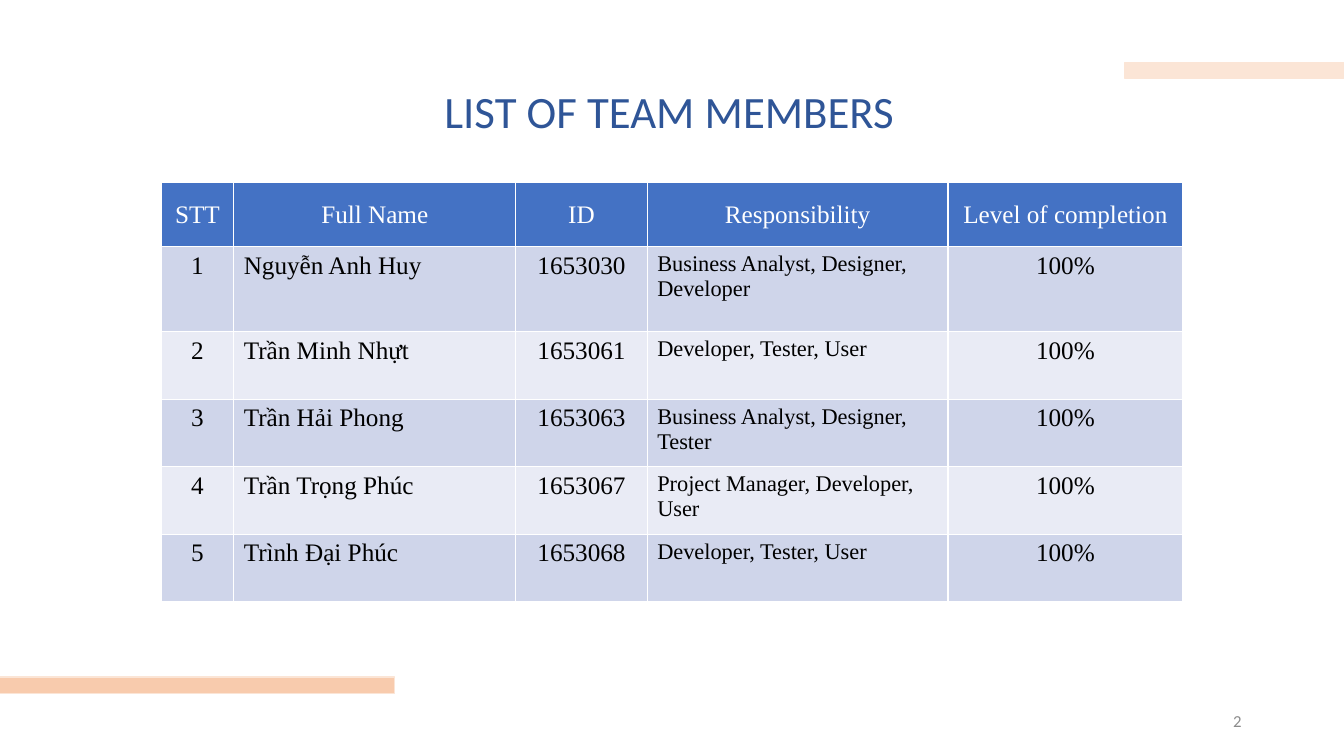
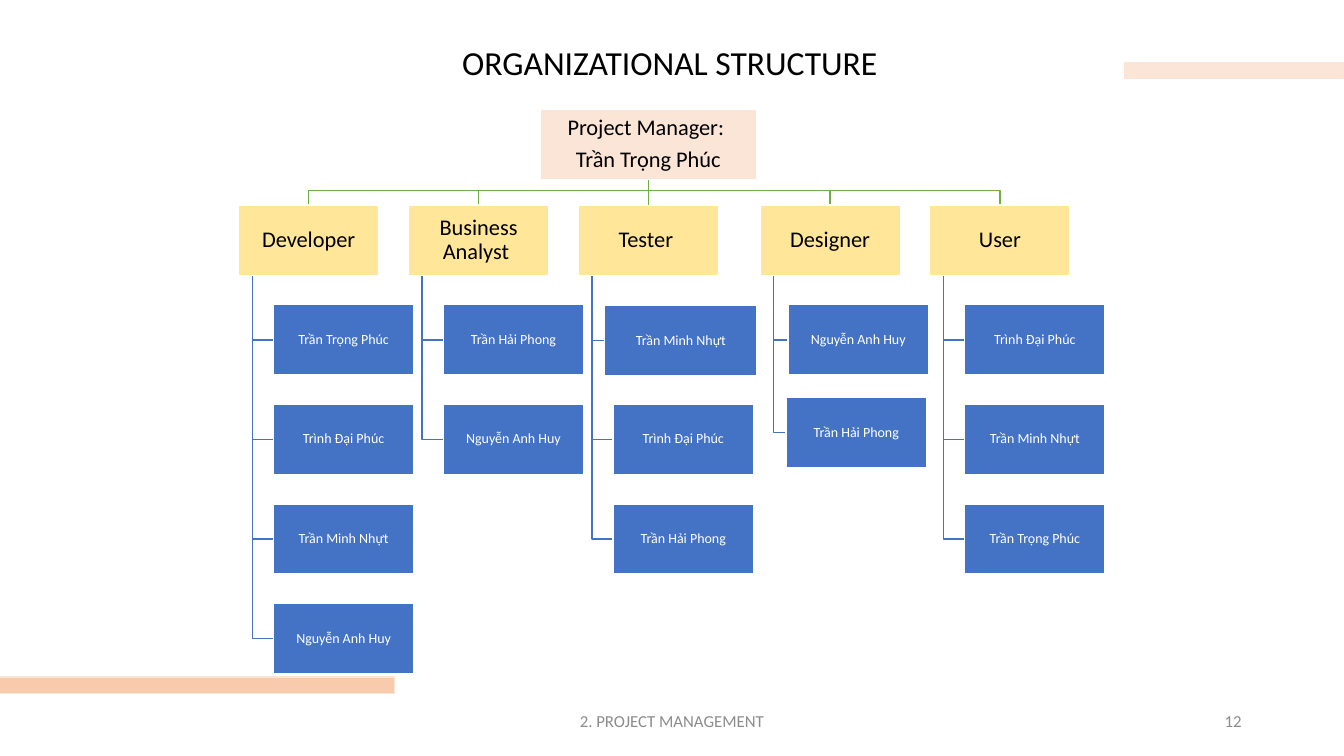
"""Build the team list and the organizational structure slides."""
from dataclasses import dataclass

from lxml import etree
from pptx import Presentation
from pptx import util as u
from pptx.dml.color import RGBColor
from pptx.enum import shapes, text
from pptx.oxml import ns

MID, TOP = text.MSO_ANCHOR.MIDDLE, text.MSO_ANCHOR.TOP
LEFT, CEN, RIGHT = text.PP_ALIGN.LEFT, text.PP_ALIGN.CENTER, text.PP_ALIGN.RIGHT


@dataclass(frozen=True)
class Theme:
    """Colours, fonts and type sizes of the deck."""
    blue: str = "4472C4"
    navy: str = "2F5597"
    green: str = "70AD47"
    gold: str = "FFE699"
    peach: str = "F8CBAD"
    pale: str = "FBE5D6"
    odd: str = "CFD5EA"
    even: str = "E9EBF5"
    gray: str = "8C8C8C"
    white: str = "FFFFFF"
    black: str = "000000"
    sans: str = "Calibri"
    serif: str = "Times New Roman"
    big: int = 32
    head: int = 24
    cell: int = 18
    role: int = 16
    foot: int = 12
    name: int = 10


T = Theme()

COLS = [1.83, 7.11, 3.31, 7.58, 5.92]
ROWS = [1.63, 2.14, 1.7, 1.7, 1.7, 1.7]
TEAM = [
    ("STT", "Full Name", "ID", "Responsibility", "Level of completion"),
    ("1", "Nguyễn Anh Huy", "1653030", "Business Analyst, Designer, Developer", "100%"),
    ("2", "Trần Minh Nhựt", "1653061", "Developer, Tester, User", "100%"),
    ("3", "Trần Hải Phong", "1653063", "Business Analyst, Designer, Tester", "100%"),
    ("4", "Trần Trọng Phúc", "1653067", "Project Manager, Developer, User", "100%"),
    ("5", "Trình Đại Phúc", "1653068", "Developer, Tester, User", "100%"),
]
ROLES = [
    ("Developer", ["Trần Trọng Phúc", "Trình Đại Phúc", "Trần Minh Nhựt", "Nguyễn Anh Huy"]),
    ("Business Analyst ", ["Trần Hải Phong", "Nguyễn Anh Huy"]),
    ("Tester ", ["Trần Minh Nhựt", "Trình Đại Phúc", "Trần Hải Phong"]),
    ("Designer", ["Nguyễn Anh Huy", "Trần Hải Phong"]),
    ("User", ["Trình Đại Phúc", "Trần Minh Nhựt", "Trần Trọng Phúc"]),
]
NUDGE = {(2, 0): (-0.21, 0.02, 0.3), (3, 0): (-0.17, 0, 0), (3, 1): (-0.22, -0.17, 0)}


def put(obj, vals):
    """Set each attribute named in a dict."""
    for key, val in vals.items():
        setattr(obj, key, val)


def cms(*nums):
    """Turn numbers into centimetre lengths."""
    return [u.Cm(num) for num in nums]


def fill(frame, words, size, hue, font=T.sans, align=CEN, space=None, after=0):
    """Write lines of text into a frame in one style."""
    lines = words.split("\n")
    for num, line in enumerate(lines):
        par = frame.paragraphs[0] if num == 0 else frame.add_paragraph()
        run = par.add_run()
        run.text = line
        put(par, {"alignment": align, "line_spacing": space})
        if num < len(lines) - 1:
            par.space_after = u.Pt(after)
        put(run.font, {"name": font, "size": u.Pt(size), "bold": False})
        run.font.color.rgb = RGBColor.from_string(hue)


def ink(shp, hue):
    """Give a shape or connector a thin line."""
    shp.line.color.rgb = RGBColor.from_string(hue)
    shp.line.width = u.Pt(1)


def rect(sl, box, hue, edge):
    """Draw a flat rectangle with a thin edge."""
    shp = sl.shapes.add_shape(shapes.MSO_SHAPE.RECTANGLE, *cms(*box))
    shp.shadow.inherit = False
    shp.fill.solid()
    shp.fill.fore_color.rgb = RGBColor.from_string(hue)
    ink(shp, edge)
    return shp


def label(sl, box, words, size, hue, align=LEFT, anchor=TOP, wrap=True):
    """Place a plain text box."""
    frame = sl.shapes.add_textbox(*cms(*box)).text_frame
    put(frame, {"word_wrap": wrap, "vertical_anchor": anchor})
    fill(frame, words, size, hue, align=align)


def card(sl, box, words, size, hue, tone):
    """Draw one box of the structure."""
    shp = rect(sl, box, hue, T.white)
    edge = u.Cm(0.03)
    sides = ("margin_left", "margin_right", "margin_top", "margin_bottom")
    put(shp.text_frame, dict.fromkeys(sides, edge))
    put(shp.text_frame, {"word_wrap": True, "vertical_anchor": MID})
    fill(shp.text_frame, words, size, tone, space=0.9, after=5.6)
    return shp


def bend(sl, dots, hue):
    """Draw an open line with square corners through points."""
    first, *rest = [tuple(cms(*dot)) for dot in dots]
    pen = sl.shapes.build_freeform(*first)
    pen.add_line_segments(rest, close=False)
    shp = pen.convert_to_shape()
    shp.shadow.inherit = False
    shp.fill.background()
    ink(shp, hue)


def wire(sl, top, low, hue):
    """Join the bottom of one box to the top of another."""
    con = sl.shapes.add_connector(shapes.MSO_CONNECTOR.STRAIGHT, 0, 0, 0, 0)
    ink(con, hue)
    etree.SubElement(con._element.spPr, ns.qn("a:effectLst"))
    con.begin_connect(top, 2)
    con.end_connect(low, 0)


def rule(cell):
    """Give a cell white borders on all sides."""
    props = cell._tc.get_or_add_tcPr()
    for side in "LRTB":
        line = etree.SubElement(props, ns.qn("a:ln" + side), w=str(u.Pt(1)))
        paint = etree.SubElement(line, ns.qn("a:solidFill"))
        etree.SubElement(paint, ns.qn("a:srgbClr"), val=T.white)


def grid(sl, box):
    """Place the table of team members in a box."""
    tab = sl.shapes.add_table(len(TEAM), len(COLS), *cms(*box)).table
    tab.horz_banding = False
    for col, wide in zip(tab.columns, COLS):
        col.width = u.Cm(wide)
    for r, (row, tall) in enumerate(zip(TEAM, ROWS)):
        tab.rows[r].height = u.Cm(tall)
        for c, words in enumerate(row):
            cell = tab.cell(r, c)
            rule(cell)
            hue = T.blue if r == 0 else T.odd if r % 2 else T.even
            cell.fill.solid()
            cell.fill.fore_color.rgb = RGBColor.from_string(hue)
            fill(cell.text_frame, words,
                 T.role if r and c == 3 else T.cell,
                 T.white if r == 0 else T.black, T.serif,
                 LEFT if r and c in (1, 3) else CEN,
                 1.5 if r == 0 else None)


def branch(sl, box, spot, words, names):
    """Draw a role with its members hanging below; return the role."""
    x, y, wide, tall = box
    stem, low = x + 0.35, y + tall
    for num, name in enumerate(names):
        dx, dy, more = NUDGE.get((spot, num), (0, 0, 0))
        left, top = x + 0.88 + dx, y + 2.51 * (num + 1) + dy
        mid = top + tall / 2
        bend(sl, [(stem, low), (stem, mid), (left, mid)], T.blue)
        card(sl, (left, top, wide + more, tall), name, T.name, T.blue, T.white)
    return card(sl, box, words, T.role, T.gold, T.black)


def tree(sl, box):
    """Place the organizational structure in a box."""
    x, y, wide, tall = box[0], box[1], 3.54, 1.77
    lefts = [x + 4.28 * num + (0.3 if num > 2 else 0) for num in range(len(ROLES))]
    mids = [left + wide / 2 for left in lefts]
    hub, bus, row, span = mids[2], y + 2.04, y + 2.41, 5.44
    for mid in mids:
        if mid != hub:
            bend(sl, [(hub, y + tall), (hub, bus), (mid, bus), (mid, row)], T.green)
    boss = card(sl, (hub - span / 2, y, span, tall),
                "Project Manager: \nTrần Trọng Phúc", T.role, T.pale, T.black)
    roles = [branch(sl, (left, row, wide, tall), spot, *ROLES[spot])
             for spot, left in enumerate(lefts)]
    wire(sl, boss, roles[2], T.green)


def base(deck, page, foot=None):
    """Add a blank slide with its bands, footer and page number."""
    sl = deck.slides.add_slide(deck.slide_layouts[6])
    rect(sl, (-0.03, 17.06, 9.97, 0.41), T.peach, T.pale)
    rect(sl, (28.35, 1.57, 5.51, 0.41), T.pale, T.pale)
    if foot:
        label(sl, (11.22, 17.66, 11.43, 1.01), foot, T.foot, T.gray, CEN, MID)
    label(sl, (23.92, 17.66, 7.62, 1.01), page, T.foot, T.gray, RIGHT, MID)
    return sl


def team(deck):
    """Build the slide of team members."""
    sl = base(deck, "2")
    grid(sl, (4.06, 4.59, sum(COLS), sum(ROWS)))
    label(sl, (10.95, 1.98, 11.96, 1.62), "LIST OF TEAM MEMBERS",
          T.big, T.navy, wrap=False)


def chart(deck):
    """Build the slide of the organizational structure."""
    sl = base(deck, "12", "2. PROJECT MANAGEMENT")
    tree(sl, (6.01, 2.76, 22, 14.22))
    label(sl, (11.4, 0.93, 11.07, 1.28), "ORGANIZATIONAL STRUCTURE",
          T.head, T.black, wrap=False)


def main():
    """Build and save the deck."""
    deck = Presentation()
    put(deck, {"slide_width": u.Cm(33.87), "slide_height": u.Cm(19.05)})
    team(deck)
    chart(deck)
    deck.save("out.pptx")


if __name__ == "__main__":
    main()
